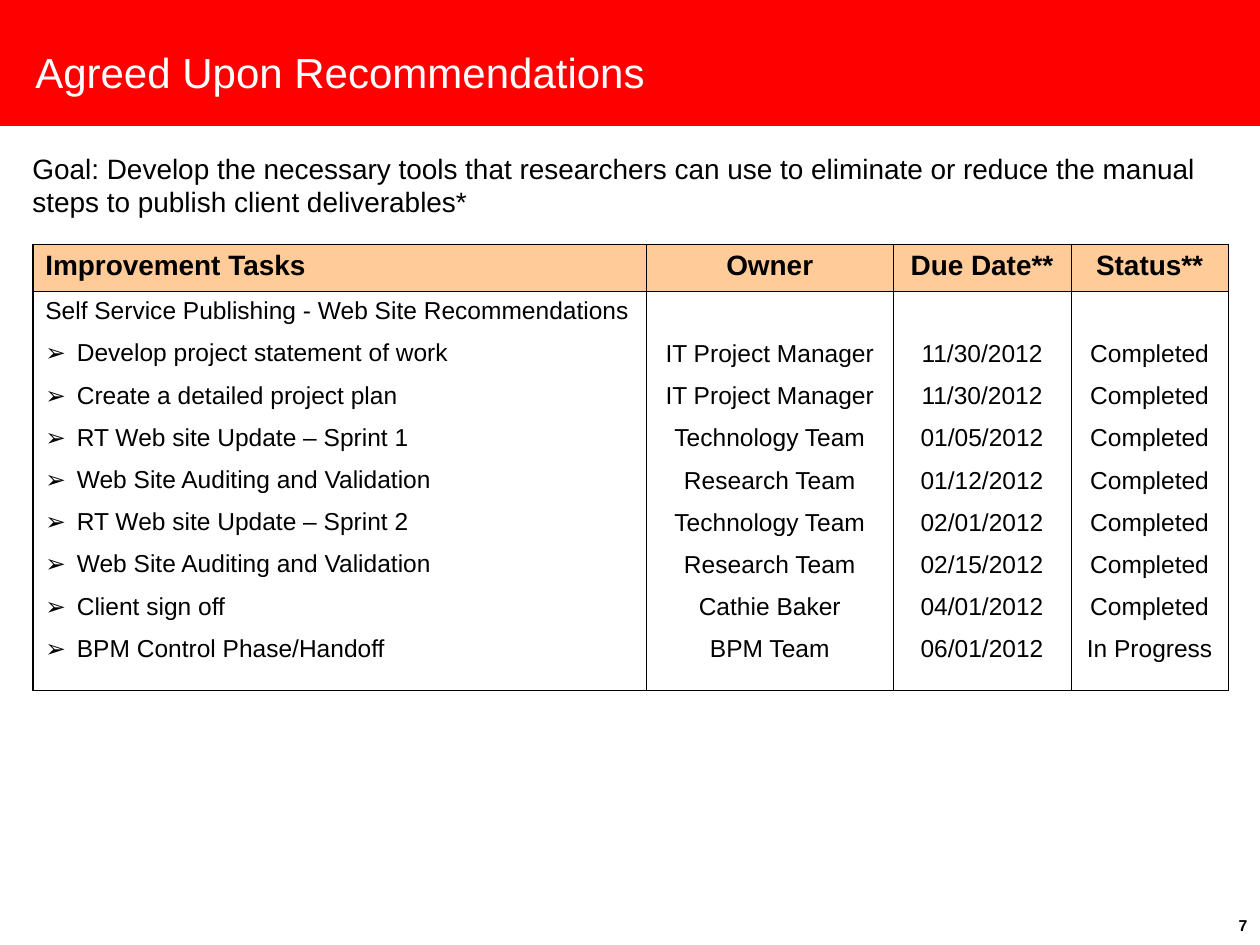
from lxml import etree
from pptx import Presentation, util as u
from pptx.dml.color import RGBColor
from pptx.enum import shapes, text
from pptx.oxml.ns import qn

COLORS = {"red": "FF0000", "peach": "FFCC99", "black": "000000", "white": "FFFFFF"}
LEFT, CENTER, RIGHT = text.PP_ALIGN.LEFT, text.PP_ALIGN.CENTER, text.PP_ALIGN.RIGHT
TOP, BOTTOM = text.MSO_ANCHOR.TOP, text.MSO_ANCHOR.BOTTOM
SIDES = ("left", "right", "top", "bottom")
THICK, THIN = 1.08, 0.45
LINE_GAP = 8.4

HEADERS = ["Improvement Tasks", "Owner", "Due Date**", "Status**"]
GROUP = "Self Service Publishing - Web Site Recommendations"
TASKS = [
    ("Develop project statement of work", "IT Project Manager", "11/30/2012", "Completed"),
    ("Create a detailed project plan", "IT Project Manager", "11/30/2012", "Completed"),
    ("RT Web site Update – Sprint 1", "Technology Team", "01/05/2012", "Completed"),
    ("Web Site Auditing and Validation", "Research Team", "01/12/2012", "Completed"),
    ("RT Web site Update – Sprint 2", "Technology Team", "02/01/2012", "Completed"),
    ("Web Site Auditing and Validation", "Research Team", "02/15/2012", "Completed"),
    ("Client sign off", "Cathie Baker", "04/01/2012", "Completed"),
    ("BPM Control Phase/Handoff", "BPM Team", "06/01/2012", "In Progress"),
]


def rgb(name):
    return RGBColor.from_string(COLORS[name])


def apply(obj, values):
    for name, value in values.items():
        setattr(obj, name, value)


class Deck:
    font = "Arial"
    columns, rows = 100, 75

    def __init__(self, width, height):
        self.prs = Presentation()
        apply(self.prs, {"slide_width": u.Inches(width), "slide_height": u.Inches(height)})
        self.s = self.prs.slides.add_slide(self.prs.slide_layouts[5])

    def x(self, n):
        return round(self.prs.slide_width * n / self.columns)

    def y(self, n):
        return round(self.prs.slide_height * n / self.rows)

    def box(self, left, top, width, height):
        return self.x(left), self.y(top), self.x(width), self.y(height)

    def lines(self, tf, lines, size, color="black", bold=False, align=LEFT, gap=0):
        for i, line in enumerate(lines):
            p = tf.paragraphs[0] if i == 0 else tf.add_paragraph()
            apply(p, {"alignment": align, "space_before": u.Pt(gap if i else 0)})
            r = p.add_run()
            r.text = line
            apply(r.font, {"name": self.font, "size": u.Pt(size), "bold": bold})
            r.font.color.rgb = rgb(color)

    def frame(self, tf, anchor, inset=(0, 0)):
        h, v = self.x(inset[0]), self.y(inset[1])
        apply(tf, {"word_wrap": True, "auto_size": text.MSO_AUTO_SIZE.NONE,
                   "vertical_anchor": anchor, "margin_left": h, "margin_right": h,
                   "margin_top": v, "margin_bottom": v})

    def banner(self, height, color):
        sp = self.s.shapes.add_shape(shapes.MSO_SHAPE.RECTANGLE,
                                     *self.box(0, 0, self.columns, height))
        sp.shadow.inherit = False
        sp.fill.solid()
        sp.fill.fore_color.rgb = rgb(color)
        sp.line.fill.background()
        self.s.shapes._spTree.insert(2, sp._element)

    def title(self, words, box, **style):
        sp = self.s.shapes.title
        apply(sp, dict(zip(("left", "top", "width", "height"), self.box(*box))))
        self.frame(sp.text_frame, BOTTOM)
        self.lines(sp.text_frame, [words], **style)

    def label(self, words, box, anchor=TOP, inset=(0, 0), **style):
        tf = self.s.shapes.add_textbox(*self.box(*box)).text_frame
        self.frame(tf, anchor, inset)
        self.lines(tf, [words], **style)

    def table(self, left, top, widths, heights):
        frame = self.s.shapes.add_table(len(heights), len(widths),
                                        *self.box(left, top, sum(widths), sum(heights)))
        table = frame.table
        apply(table, {"first_row": False, "horz_banding": False})
        for column, width in zip(table.columns, widths):
            column.width = self.x(width)
        for row, height in zip(table.rows, heights):
            row.height = self.y(height)
        return table

    def cell(self, table, row, col, lines, fill, top=0.5, **style):
        cell = table.cell(row, col)
        apply(cell, {"margin_left": self.x(1), "margin_right": self.x(1),
                     "margin_top": self.y(top), "margin_bottom": self.y(0.5)})
        cell.fill.solid()
        cell.fill.fore_color.rgb = rgb(fill)
        outer = (col == 0, col == len(table.columns) - 1,
                 row == 0, row == len(table.rows) - 1)
        for i, (side, edge) in enumerate(zip(SIDES, outer)):
            ln = etree.Element(qn("a:ln" + side[0].upper()),
                               w=str(u.Pt(THICK if edge else THIN)))
            solid = etree.SubElement(ln, qn("a:solidFill"))
            etree.SubElement(solid, qn("a:srgbClr"), val=COLORS["black"])
            cell._tc.get_or_add_tcPr().insert(i, ln)
        self.lines(cell.text_frame, lines, **style)
        return cell

    def bullet(self, p, char, indent):
        pPr = p._p.get_or_add_pPr()
        pPr.set("marL", str(self.x(indent)))
        pPr.set("indent", str(-self.x(indent)))
        color = etree.SubElement(pPr, qn("a:buClr"))
        etree.SubElement(color, qn("a:srgbClr"), val=COLORS["black"])
        etree.SubElement(pPr, qn("a:buFont"), typeface=self.font)
        etree.SubElement(pPr, qn("a:buChar"), char=char)


def main():
    deck = Deck(10, 7.5)
    deck.banner(10, "red")
    deck.title("Agreed Upon Recommendations", (2.8, 3.7, 83, 4), size=24, color="white")
    deck.label("Goal: Develop the necessary tools that researchers can use to eliminate "
               "or reduce the manual steps to publish client deliverables*",
               (1.6, 11.5, 95.4, 6.4), inset=(1, 0.5), size=16)

    table = deck.table(2.6, 19.4, [48.7, 19.6, 14.1, 12.5], [3.7, 31.7])
    for col, (header, entries) in enumerate(zip(HEADERS, zip(*TASKS))):
        align = CENTER if col else LEFT
        deck.cell(table, 0, col, [header], "peach", size=16, bold=True, align=align)
        lines = entries if col else (GROUP, *entries)
        cell = deck.cell(table, 1, col, lines, "white", top=3.9 if col else 0.5,
                         size=14, align=align, gap=LINE_GAP)
        if col == 0:
            for p in cell.text_frame.paragraphs[1:]:
                deck.bullet(p, "➢", 2.5)

    deck.label("7", (94, 71.5, 5, 2.7), anchor=BOTTOM, size=9, bold=True, align=RIGHT)
    deck.prs.save("out.pptx")


if __name__ == "__main__":
    main()
